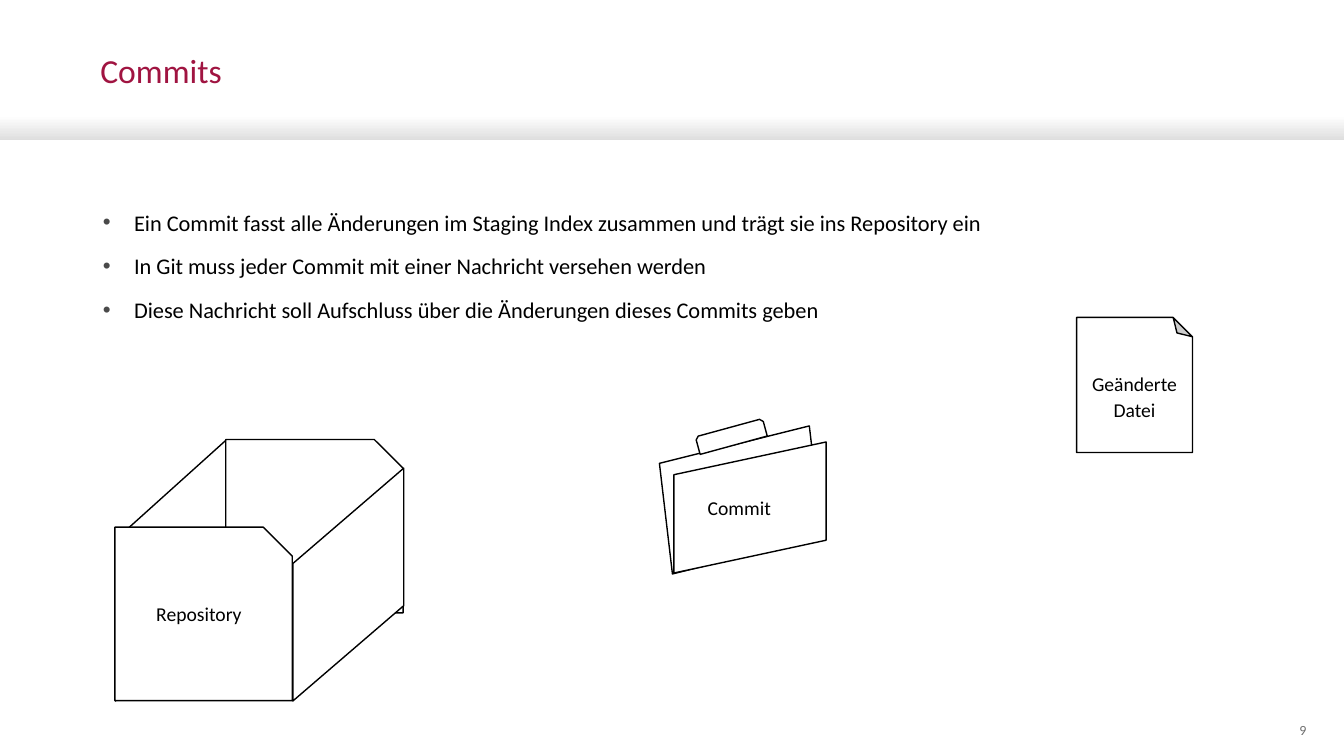
from lxml import etree
from pptx import Presentation
from pptx.dml.color import RGBColor
from pptx.enum.shapes import MSO_SHAPE
from pptx.enum.text import MSO_ANCHOR, MSO_AUTO_SIZE, PP_ALIGN
from pptx.oxml.ns import qn
from pptx.util import Emu, Inches, Pt

PARALLELOGRAM = MSO_SHAPE.PARALLELOGRAM
SNIPPED = MSO_SHAPE.SNIP_1_RECTANGLE
TAB = MSO_SHAPE.SNIP_2_SAME_RECTANGLE
FOLDED = MSO_SHAPE.FOLDED_CORNER
RECTANGLE = MSO_SHAPE.RECTANGLE
LEFT, CENTER, RIGHT = PP_ALIGN.LEFT, PP_ALIGN.CENTER, PP_ALIGN.RIGHT
TOP, MIDDLE = MSO_ANCHOR.TOP, MSO_ANCHOR.MIDDLE

CELL = Inches(0.1)  # the page is a grid of square cells
COLUMNS, ROWS = 133.33, 75
MARGIN = 9.2
FONT = "Calibri"
BLACK, WHITE, RED, GREY = "000000", "FFFFFF", "A01441", "6F6F6F"
BULLET_GREY, BAND_GREY = "4A4A4A", "DEDEDE"

POINTS = [
    "Ein Commit fasst alle Änderungen im Staging Index zusammen und trägt sie ins Repository ein",
    "In Git muss jeder Commit mit einer Nachricht versehen werden",
    "Diese Nachricht soll Aufschluss über die Änderungen dieses Commits geben",
]


def cells(*counts):
    return [Emu(round(count * CELL)) for count in counts]


def color(hex_text):
    return RGBColor.from_string(hex_text)


def place(shape, area):
    shape.left, shape.top, shape.width, shape.height = cells(*area)


def set_frame(frame, insets=(0, 0, 0, 0), anchor=TOP):
    """Prepare a text frame; insets are left, top, right, bottom in cells."""
    frame.word_wrap = True
    frame.auto_size = MSO_AUTO_SIZE.NONE
    frame.vertical_anchor = anchor
    (frame.margin_left, frame.margin_top,
     frame.margin_right, frame.margin_bottom) = cells(*insets)


def write(para, text, size, text_color=BLACK, align=LEFT, spacing=1.0):
    para.alignment = align
    para.line_spacing = spacing
    span = para.add_run()
    span.text = text
    span.font.name = FONT
    span.font.size = Pt(size)
    span.font.color.rgb = color(text_color)


def add_bullet(para):
    properties = para._p.get_or_add_pPr()
    indent = Inches(0.31)
    properties.set("marL", str(indent))
    properties.set("indent", str(-indent))
    bullet_color = etree.SubElement(properties, qn("a:buClr"))
    etree.SubElement(bullet_color, qn("a:srgbClr"), val=BULLET_GREY)
    etree.SubElement(properties, qn("a:buChar"), char="•")


def add_label(shapes, area, text, size=14, top_inset=0, anchor=TOP, **style):
    box = shapes.add_textbox(*cells(*area))
    set_frame(box.text_frame, (0, top_inset, 0, 0), anchor)
    write(box.text_frame.paragraphs[0], text, size, **style)


def add_outline(shapes, kind, area, rotation=0, flipped=False, slant=None):
    """Add a white preset shape with a thin black outline."""
    shape = shapes.add_shape(kind, *cells(*area))
    shape.shadow.inherit = False
    shape.fill.solid()
    shape.fill.fore_color.rgb = color(WHITE)
    shape.line.color.rgb = color(BLACK)
    shape.line.width = Pt(1)
    shape.rotation = rotation
    if slant is not None:
        shape.adjustments[0] = slant
    if flipped:
        shape._element.spPr.find(qn("a:xfrm")).set("flipV", "1")


def add_header(page):
    band = page.shapes.add_shape(RECTANGLE, *cells(0, 11.5, COLUMNS, 2.4))
    band.shadow.inherit = False
    band.line.fill.background()
    band.fill.gradient()
    band.fill.gradient_angle = 270
    for stop, position, shade in zip(band.fill.gradient_stops, (0, 1), (WHITE, BAND_GREY)):
        stop.position = position
        stop.color.rgb = color(shade)

    title = page.shapes.title
    place(title, (MARGIN, 5.4, 102.4, 8.5))
    set_frame(title.text_frame, (0.75, 0, 0, 0))
    write(title.text_frame.paragraphs[0], "Commits", 24, RED, spacing=0.9)


def add_points(page):
    body = page.placeholders[1]
    place(body, (MARGIN, 20.2, 114.9, 48.8))
    frame = body.text_frame
    set_frame(frame, (1, 0.5, 1, 0.5))
    for index, text in enumerate(POINTS):
        para = frame.add_paragraph() if index else frame.paragraphs[0]
        add_bullet(para)
        para.space_before = Pt(12 if index else 0)
        write(para, text, 16)


def add_repository(page):
    shapes = page.shapes.add_group_shape().shapes
    add_outline(shapes, PARALLELOGRAM, (4, 51.1, 25.9, 11), 270, True, 0.9)
    for left, top in ((22.4, 43.6), (11.4, 52.3)):
        add_outline(shapes, SNIPPED, (left, top, 17.6, 17.2))
    add_outline(shapes, PARALLELOGRAM, (23, 52.5, 23.1, 11), 270, True, 0.86)
    add_label(shapes, (15.5, 59.5, 11.4, 3), "Repository", spacing=1.1)


def add_commit(page):
    shapes = page.shapes.add_group_shape().shapes
    add_outline(shapes, PARALLELOGRAM, (67, 42, 13, 15.2), 83.3, True, 0.15)
    add_outline(shapes, PARALLELOGRAM, (67.9, 42.8, 13, 15.1), 90, True)
    add_outline(shapes, TAB, (69.1, 42.4, 6.9, 1.8), 344.7)
    add_label(shapes, (70.2, 49, 8.4, 2), "Commit", spacing=1.1)


def add_changed_file(page):
    shapes = page.shapes.add_group_shape().shapes
    area = (106.8, 31.5, 11.5, 13.4)
    add_outline(shapes, FOLDED, area, flipped=True)
    add_label(shapes, area, "Geänderte Datei", top_inset=5.2, align=CENTER, spacing=1.1)


def main():
    deck = Presentation()
    deck.slide_width, deck.slide_height = cells(COLUMNS, ROWS)
    page = deck.slides.add_slide(deck.slide_layouts[1])
    add_header(page)
    add_points(page)
    add_repository(page)
    add_commit(page)
    add_changed_file(page)
    add_label(page.shapes, (124.1, 71.4, 5.5, 2.1), "9", size=10,
              anchor=MIDDLE, text_color=GREY, align=RIGHT)
    deck.save("out.pptx")


if __name__ == "__main__":
    main()
